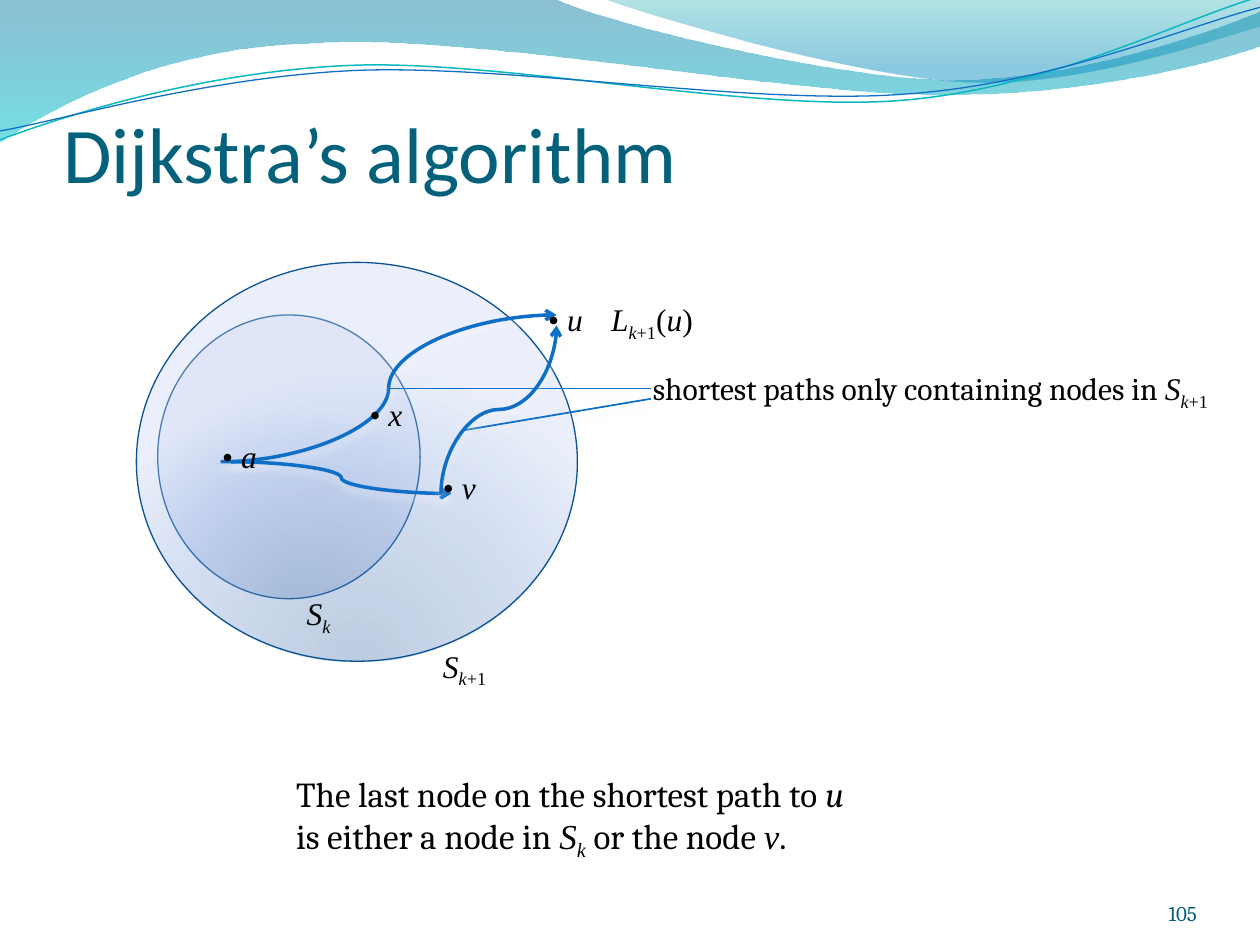
from lxml.etree import SubElement
from pptx import Presentation
from pptx.dml.color import RGBColor
from pptx.enum.shapes import MSO_CONNECTOR as Link, MSO_SHAPE as Shape
from pptx.enum.text import MSO_ANCHOR as Anchor, MSO_AUTO_SIZE as AutoSize, PP_ALIGN as Align
from pptx.oxml.ns import qn
from pptx.util import Cm, Pt

# ---- Content: lengths in cm ----
TITLE = "Dijkstra’s algorithm"
CAMBRIA, TIMES = "Cambria", "Times New Roman"
BLUE, EDGE, SHADOW = "0F6FC6", "095295", "FFFFFF"

# A pair is a corner, six numbers are a Bézier curve
WAVE_FILLS = [
    ([(0, 0), (11.18, -0.03), (12.09, 0.43, 16.87, 1.6, 19.25, 1.6),
      (21.67, 1.6, 24.33, 0.66, 25.4, 0.23), (25.43, 0.91),
      (24.97, 1.12, 22.1, 1.93, 18.95, 1.91), (15.8, 1.91, 9.7, 0.71, 6.53, 0.86),
      (3.28, 0.91, 1.17, 2.11, -0.03, 2.87)],
     [(0, "0074A1", 45), (100, "00C6CF", 55)]),
    ([(12.17, -0.03), (12.93, 0.28, 17.32, 1.57, 19.53, 1.65),
      (21.74, 1.75, 24.41, 0.81, 25.4, 0.53), (25.4, 0)],
     [(0, "00A1A9", 30), (80, "008BBF", 45)]),
]
WAVE_LINES = [
    ([(0, 2.82), (1.22, 2.36, 4.01, 1.45, 7.04, 1.32),
      (10.03, 1.19, 15.06, 2.26, 18.11, 2.03), (21.16, 1.8, 23.83, 0.38, 25.35, -0.05)],
     "0AB8BF", 0.85),
    ([(0, 2.64), (1.19, 2.44, 4.17, 1.55, 7.19, 1.42),
      (10.24, 1.3, 15.16, 2.13, 18.21, 1.9), (21.23, 1.7, 23.9, 0.53, 25.4, 0.15)],
     BLUE, 0.75),
]

# Node sets: box and opacity
NODE_SETS = [((3.18, 6.35, 5.29, 5.72), 20), ((2.75, 5.29, 8.89, 8.04), 26)]

# Paths and pointers: kind, from, to, width, arrow end, rotation
PATHS = [
    (Link.CURVE, (4.45, 9.31), (11.22, 6.35), 2, "tailEnd", 0),
    (Link.STRAIGHT, (7.83, 7.83), (13.12, 7.83), 1, None, 0),
    (Link.STRAIGHT, (9.31, 8.68), (13.12, 8.04), 1, None, 0),
    (Link.CURVE, (4.66, 9.31), (9.1, 9.95), 2, "tailEnd", 0),
    (Link.CURVE, (8.36, 7.09), (11.75, 9.42), 2, "headEnd", 90),
]

# Runs: text, font, style letters (i = italic, s = subscript)
S_K = [("S", TIMES, "i"), ("k", TIMES, "is")]
S_K1 = S_K + [("+1", TIMES, "s")]
LABELS = [
    ((8.68, 12.91, 1.48, 1.02), S_K1),
    ((5.93, 11.85, 1.48, 1.02), S_K),
    ((12.07, 5.93, 2.54, 1.02),
     [("L", TIMES, "i")] + S_K1[1:] + [("(", TIMES, ""), ("u", TIMES, "i"), (")", TIMES, "")]),
]
NODES = {"x": (7.2, 7.83), "a": (4.23, 8.68), "u": (10.8, 5.93), "v": (8.68, 9.31)}
LABELS += [((*corner, 1.27, 1.02), [("• ", TIMES, ""), (node, TIMES, "i")])
           for node, corner in NODES.items()]
POINTER_TEXT = [("shortest paths only containing nodes in ", CAMBRIA, "")] + S_K1
CONCLUSION = [
    ("The last node on the shortest path to ", CAMBRIA, ""), ("u", CAMBRIA, "i"),
    (" is either a node in ", CAMBRIA, ""), *S_K,
    (" or the node ", CAMBRIA, ""), ("v", TIMES, "i"), (".", CAMBRIA, ""),
]


# ---- Helpers ----
def rgb(code):
    return RGBColor.from_string(code)


def add_color(parent, code, opacity):
    color = SubElement(parent, qn("a:srgbClr"), val=code)
    SubElement(color, qn("a:alpha"), val=str(opacity * 1000))


def set_gradient(shape, stops, circle=False):
    shape.fill.background()
    props = shape._element.spPr
    gradient = SubElement(props, qn("a:gradFill"), rotWithShape="1")
    stop_list = SubElement(gradient, qn("a:gsLst"))
    for place, code, opacity in stops:
        add_color(SubElement(stop_list, qn("a:gs"), pos=str(place * 1000)), code, opacity)
    if circle:
        center = SubElement(gradient, qn("a:path"))
        center.set("path", "circle")
        SubElement(center, qn("a:fillToRect"), l="50000", t="130000", r="50000", b="-30000")
    else:
        SubElement(gradient, qn("a:lin"), ang="5400000", scaled="1")
    props.replace(props.find(qn("a:noFill")), gradient)


def set_line(shape, code, width):
    shape.line.color.rgb = rgb(code)
    shape.line.width = Pt(width)


def add_shadow(shape):
    props = shape._element.spPr
    effects = props.find(qn("a:effectLst"))
    if effects is None:
        effects = SubElement(props, qn("a:effectLst"))
    outer = SubElement(effects, qn("a:outerShdw"), blurRad=str(Pt(4.5)), dist=str(Pt(3)),
                       dir="5400000", rotWithShape="0")
    add_color(outer, SHADOW, 48)


def add_wave(segments, close):
    anchors = [(Cm(segment[-2]), Cm(segment[-1])) for segment in segments]
    builder = slide.shapes.build_freeform(*anchors[0])
    builder.add_line_segments(anchors[1:], close=close)
    wave = builder.convert_to_shape()
    wave.shadow.inherit = False
    # Turn the straight pieces that have control points into curves
    pieces = list(wave._element.iter(qn("a:lnTo")))
    for piece, segment in zip(pieces, segments[1:]):
        if len(segment) == 6:
            outline = piece.getparent()
            curve = SubElement(outline, qn("a:cubicBezTo"))
            for x, y in zip(segment[::2], segment[1::2]):
                SubElement(curve, qn("a:pt"), x=str(Cm(x) - wave.left), y=str(Cm(y) - wave.top))
            outline.replace(piece, curve)
    return wave


def add_runs(paragraph, runs, size, code="000000"):
    for text, font, style in runs:
        run = paragraph.add_run()
        run.text = text
        run.font.name, run.font.size = font, Pt(size)
        run.font.color.rgb = rgb(code)
        run.font.italic = "i" in style
        if "s" in style:
            run.font._element.set("baseline", "-25000")


def add_text(box, runs, size=18, wrap=True):
    frame = slide.shapes.add_textbox(*map(Cm, box)).text_frame
    frame.word_wrap = wrap
    frame.auto_size = AutoSize.SHAPE_TO_FIT_TEXT
    add_runs(frame.paragraphs[0], runs, size)


def set_insets(frame, top=0):
    frame.margin_left = frame.margin_right = frame.margin_bottom = 0
    frame.margin_top = Cm(top)
    frame.vertical_anchor = Anchor.BOTTOM


# ---- Slide ----
deck = Presentation()
deck.slide_width, deck.slide_height = Cm(25.4), Cm(19.05)
slide = deck.slides.add_slide(deck.slide_layouts[5])

# Waves along the top
for segments, stops in WAVE_FILLS:
    wave = add_wave(segments, close=True)
    set_gradient(wave, stops)
    wave.line.fill.background()
for segments, code, width in WAVE_LINES:
    wave = add_wave(segments, close=False)
    wave.fill.background()
    set_line(wave, code, width)

# Title, in front of the waves
title = slide.shapes.title
slide.shapes._spTree.append(title._element)
title.left, title.top, title.width, title.height = map(Cm, (1.27, 1.96, 22.86, 2.06))
title.text_frame.auto_size = AutoSize.NONE
set_insets(title.text_frame, top=0.13)
title.text_frame.paragraphs[0].alignment = Align.LEFT
add_runs(title.text_frame.paragraphs[0], [(TITLE, "Calibri", "")], 45, "04617B")

# Nested node sets
for box, opacity in NODE_SETS:
    node_set = slide.shapes.add_shape(Shape.OVAL, *map(Cm, box))
    stops = [(0, "003D87", opacity), (68, "668DD7", opacity), (100, "B3C4EF", opacity)]
    set_gradient(node_set, stops, circle=True)
    set_line(node_set, EDGE, 0.75)
    node_set.shadow.inherit = False
    add_shadow(node_set)

# Shortest paths and their pointers
for kind, start, end, width, arrow_end, rotation in PATHS:
    link = slide.shapes.add_connector(kind, *map(Cm, start + end))
    set_line(link, BLUE, width)
    if arrow_end:
        SubElement(link.line._get_or_add_ln(), qn("a:" + arrow_end), type="arrow")
    if rotation:
        link._element.spPr.find(qn("a:xfrm")).set("rot", str(rotation * 60000))
    add_shadow(link)

# Labels and conclusion
for box, runs in LABELS:
    add_text(box, runs)
add_text((12.91, 7.32, 12.6, 1.8), POINTER_TEXT, wrap=False)
add_text((5.72, 15.44, 12.07, 1.96), CONCLUSION, size=20)

# Slide number
number = slide.shapes.add_textbox(*map(Cm, (22.02, 17.65, 2.11, 1.02))).text_frame
number.word_wrap = True
set_insets(number)
number.paragraphs[0].alignment = Align.RIGHT
add_runs(number.paragraphs[0], [("105", CAMBRIA, "")], 12, "045D75")

deck.save("out.pptx")
